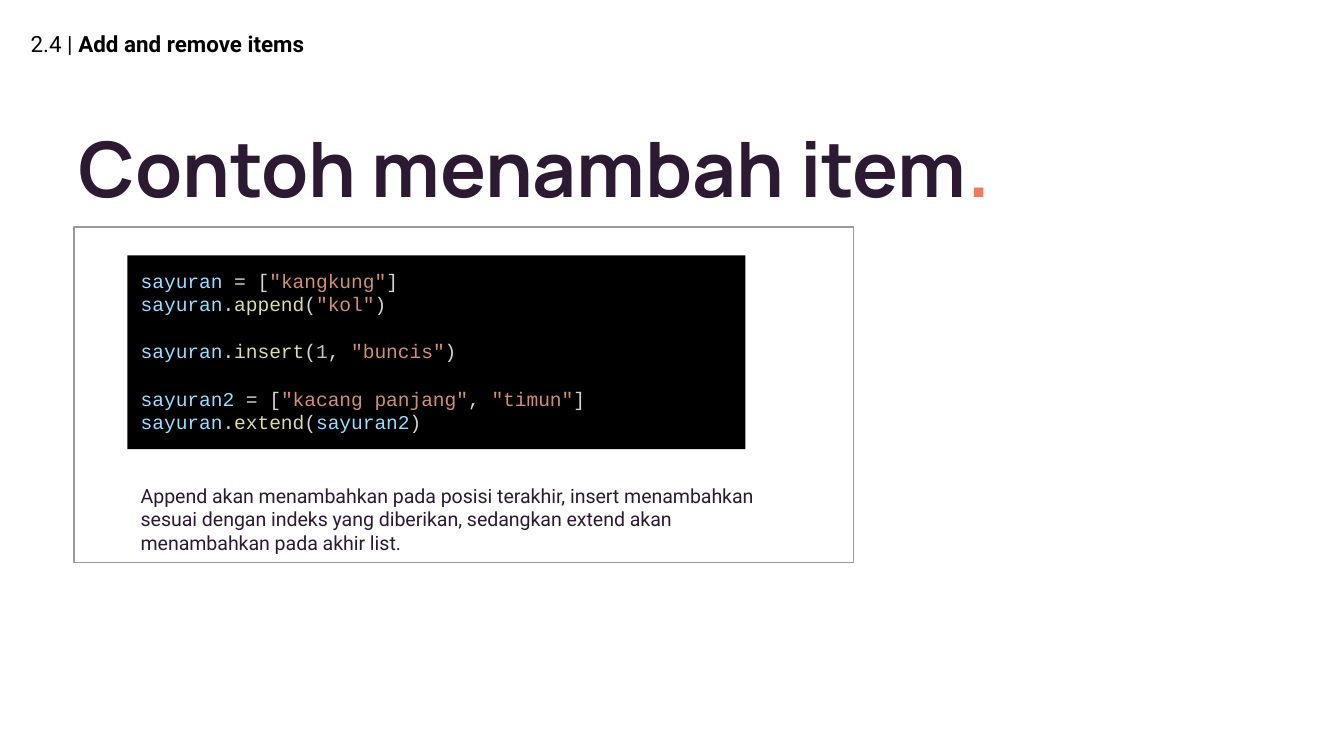
from pptx import Presentation
from pptx.dml.color import RGBColor
from pptx.enum.shapes import MSO_SHAPE as SHAPE
from pptx.enum.text import MSO_ANCHOR as ANCHOR, MSO_AUTO_SIZE as FIT, PP_ALIGN as ALIGN
from pptx.util import Cm, Pt

NAME, MARK, TEXT, CALL, NUMBER = "9CDCFE", "D4D4D4", "CE9178", "DCDCAA", "B5CEA8"
CODE_LINE = 12.6


def rgb(value):
    return RGBColor.from_string(value)


def run(text, **fmt):
    return text, fmt


def call(method, *args):
    return [run("sayuran", color=NAME), run(".", color=MARK), run(method, color=CALL),
            run("(", color=MARK), *args, run(")", color=MARK)]


def assign(name, *items):
    return [run(name, color=NAME), run(" = [", color=MARK), *items, run("]", color=MARK)]


class Deck:
    ink = "2C1A32"
    accent = "F07A5A"
    inset = Cm(0.25)

    def __init__(self, width, height):
        self.prs = Presentation()
        self.prs.slide_width, self.prs.slide_height = Cm(width), Cm(height)
        self.s = self.prs.slides.add_slide(self.prs.slide_layouts[5])

    def fill_text(self, sp, lines, font, size, anchor=ANCHOR.TOP, spacing=None, gaps=()):
        tf = sp.text_frame
        tf.auto_size = FIT.NONE
        tf.word_wrap = True
        tf.vertical_anchor = anchor
        tf.margin_left = tf.margin_right = tf.margin_top = tf.margin_bottom = self.inset
        for i, line in enumerate(lines):
            p = tf.paragraphs[0] if i == 0 else tf.add_paragraph()
            p.alignment = ALIGN.LEFT
            p.line_spacing = spacing
            p.space_before = Pt(CODE_LINE if i in gaps else 0)
            for text, fmt in line:
                r = p.add_run()
                r.text = text
                r.font.name = font
                r.font.size = Pt(size)
                r.font.bold = fmt.get("bold", False)
                r.font.color.rgb = rgb(fmt.get("color", self.ink))

    def title(self, box, *runs):
        sp = self.s.shapes.title
        sp.left, sp.top, sp.width, sp.height = map(Cm, box)
        self.fill_text(sp, [runs], "Manrope", 41, ANCHOR.MIDDLE, 0.8)

    def text(self, box, *runs, size, anchor=ANCHOR.TOP):
        sp = self.s.shapes.add_textbox(*map(Cm, box))
        self.fill_text(sp, [runs], "Roboto", size, anchor)

    def rect(self, box, fill=None, line=None):
        sp = self.s.shapes.add_shape(SHAPE.RECTANGLE, *map(Cm, box))
        sp.shadow.inherit = False
        if fill:
            sp.fill.solid()
            sp.fill.fore_color.rgb = rgb(fill)
        else:
            sp.fill.background()
        if line:
            sp.line.color.rgb = rgb(line)
            sp.line.width = Pt(0.75)
        else:
            sp.line.fill.background()
        return sp

    def code(self, box, lines, gaps):
        sp = self.rect(box, fill="000000")
        self.fill_text(sp, lines, "Courier New", 10.5, spacing=Pt(CODE_LINE), gaps=gaps)


def main():
    deck = Deck(25.4, 14.29)
    deck.text((0.33, 0.18, 11.58, 1.27),
              run("2.4 |", color="000000"),
              run(" Add and remove items", color="000000", bold=True),
              size=12, anchor=ANCHOR.MIDDLE)
    deck.title((1.24, 1.32, 19.3, 3.99),
               run("Contoh menambah item", bold=True),
               run(".", color=deck.accent, bold=True))
    deck.rect((1.4, 4.29, 14.73, 6.35), line="999999")
    deck.text((2.41, 8.89, 12.67, 1.85),
              run("Append akan menambahkan pada posisi terakhir, insert menambahkan "
                  "sesuai dengan indeks yang diberikan, sedangkan extend akan "
                  "menambahkan pada akhir list."),
              size=10.5)
    comma = run(", ", color=MARK)
    deck.code((2.41, 4.83, 11.68, 3.66), [
        assign("sayuran", run('"kangkung"', color=TEXT)),
        call("append", run('"kol"', color=TEXT)),
        call("insert", run("1", color=NUMBER), comma, run('"buncis"', color=TEXT)),
        assign("sayuran2", run('"kacang panjang"', color=TEXT), comma,
               run('"timun"', color=TEXT)),
        call("extend", run("sayuran2", color=NAME)),
    ], gaps=(2, 3))
    deck.prs.save("out.pptx")


if __name__ == "__main__":
    main()
